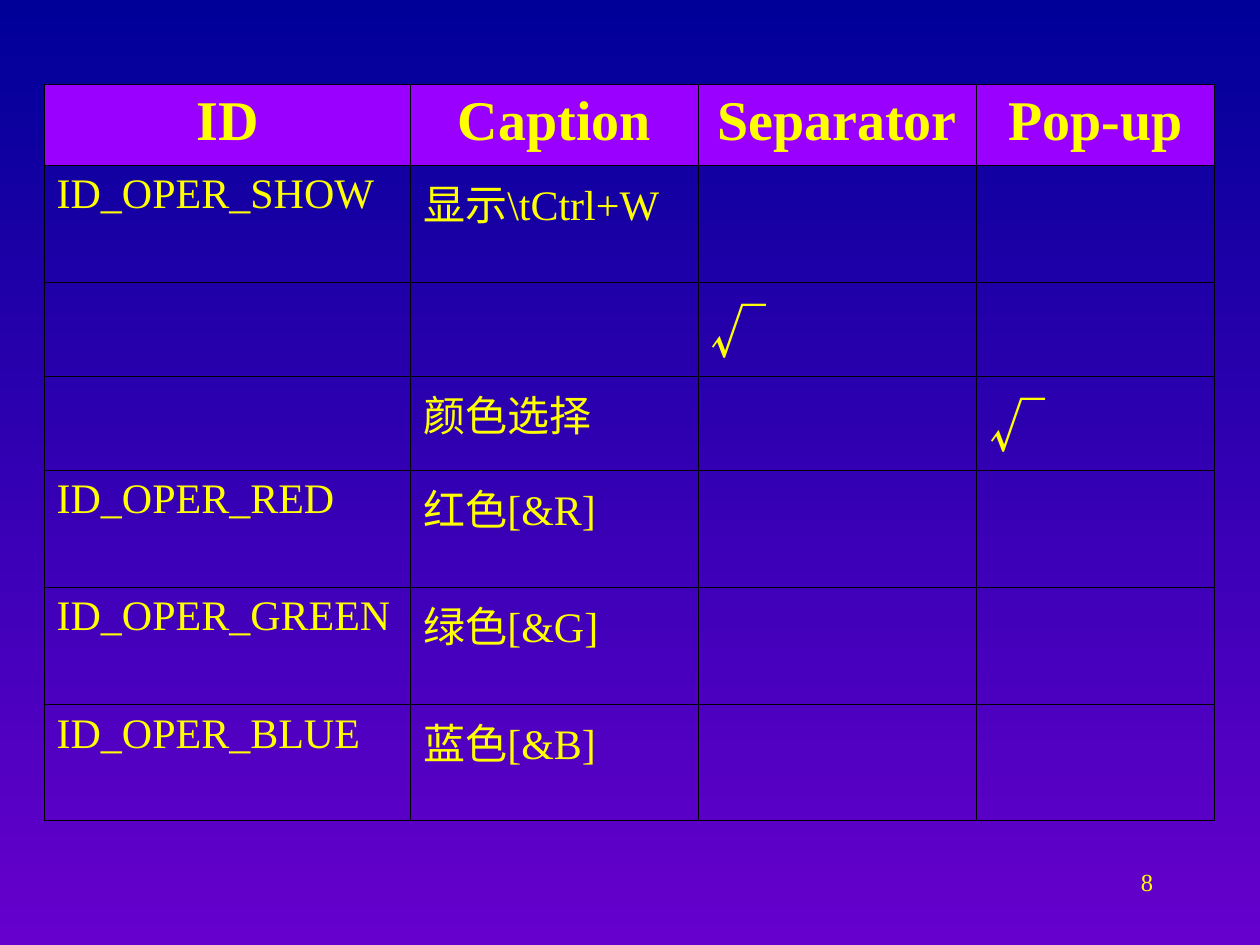
from dataclasses import dataclass

from lxml.etree import SubElement
from pptx import Presentation
from pptx.dml.color import RGBColor
from pptx.enum.text import PP_ALIGN
from pptx.oxml import parse_xml
from pptx.oxml.ns import nsdecls, qn
from pptx.util import Inches, Pt


@dataclass(frozen=True)
class Theme:
    background_top: str = "000099"
    background_bottom: str = "6600CC"
    header_fill: str = "9900FF"
    text: str = "FFFF00"
    border: str = "000000"
    border_width: float = 0.45
    latin_font: str = "Times New Roman"
    chinese_font: str = "Noto Sans CJK SC"
    header_size: int = 32
    body_size: int = 24
    number_size: int = 14


def write_text(paragraph, text, size, alignment, bold=False, latin=None):
    paragraph.alignment = alignment
    run = paragraph.add_run()
    run.text = text
    formats = {"size": Pt(size), "bold": bold, "name": latin or theme.latin_font}
    for name, value in formats.items():
        setattr(run.font, name, value)
    run.font.color.rgb = RGBColor.from_string(theme.text)
    properties = run._r.get_or_add_rPr()
    SubElement(properties, qn("a:ea")).set("typeface", theme.chinese_font)


def draw_borders(cell):
    properties = cell._tc.get_or_add_tcPr()
    for position, side in enumerate(("lnL", "lnR", "lnT", "lnB")):
        border = parse_xml(
            f'<a:{side} {nsdecls("a")} w="{Pt(theme.border_width)}"><a:solidFill>'
            f'<a:srgbClr val="{theme.border}"/></a:solidFill></a:{side}>'
        )
        properties.insert(position, border)


theme = Theme()
check = "√"
column_widths = [2.91, 2.28, 2.21, 1.89]
row_heights = [0.64, 0.93, 0.64, 0.67, 0.93, 0.93, 0.92]
menu_rows = [
    ["ID", "Caption", "Separator", "Pop-up"],
    ["ID_OPER_SHOW", "显示\\tCtrl+W", "", ""],
    ["", "", check, ""],
    ["", "颜色选择", "", check],
    ["ID_OPER_RED", "红色[&R]", "", ""],
    ["ID_OPER_GREEN", "绿色[&G]", "", ""],
    ["ID_OPER_BLUE", "蓝色[&B]", "", ""],
]

presentation = Presentation()
presentation.slide_width = Inches(10)
presentation.slide_height = Inches(7.5)
slide = presentation.slides.add_slide(presentation.slide_layouts[6])

background = slide.background.fill
background.gradient()
background.gradient_angle = 270
for stop, color in zip(background.gradient_stops, (theme.background_top, theme.background_bottom)):
    stop.color.rgb = RGBColor.from_string(color)

table = slide.shapes.add_table(
    len(row_heights), len(column_widths),
    Inches(0.35), Inches(0.67), Inches(sum(column_widths)), Inches(sum(row_heights)),
).table
table.horz_banding = False
for column, width in zip(table.columns, column_widths):
    column.width = Inches(width)
for row, height in zip(table.rows, row_heights):
    row.height = Inches(height)

for row_index, values in enumerate(menu_rows):
    is_header = row_index == 0
    for column_index, text in enumerate(values):
        cell = table.cell(row_index, column_index)
        if is_header:
            cell.fill.solid()
            cell.fill.fore_color.rgb = RGBColor.from_string(theme.header_fill)
        else:
            cell.fill.background()
        draw_borders(cell)
        if text:
            paragraph = cell.text_frame.paragraphs[0]
            indent = Inches(0.38)
            for name, value in {"marL": indent, "indent": -indent}.items():
                paragraph._p.get_or_add_pPr().set(name, str(value))
            write_text(
                paragraph, text,
                theme.header_size if is_header or text == check else theme.body_size,
                PP_ALIGN.CENTER if is_header else PP_ALIGN.LEFT,
                bold=is_header,
                latin=theme.chinese_font if text == check else theme.latin_font,
            )

page_number = slide.shapes.add_textbox(Inches(7.17), Inches(6.83), Inches(2.08), Inches(0.5))
page_number.text_frame.word_wrap = True
write_text(page_number.text_frame.paragraphs[0], "8", theme.number_size, PP_ALIGN.RIGHT)

presentation.save("out.pptx")
